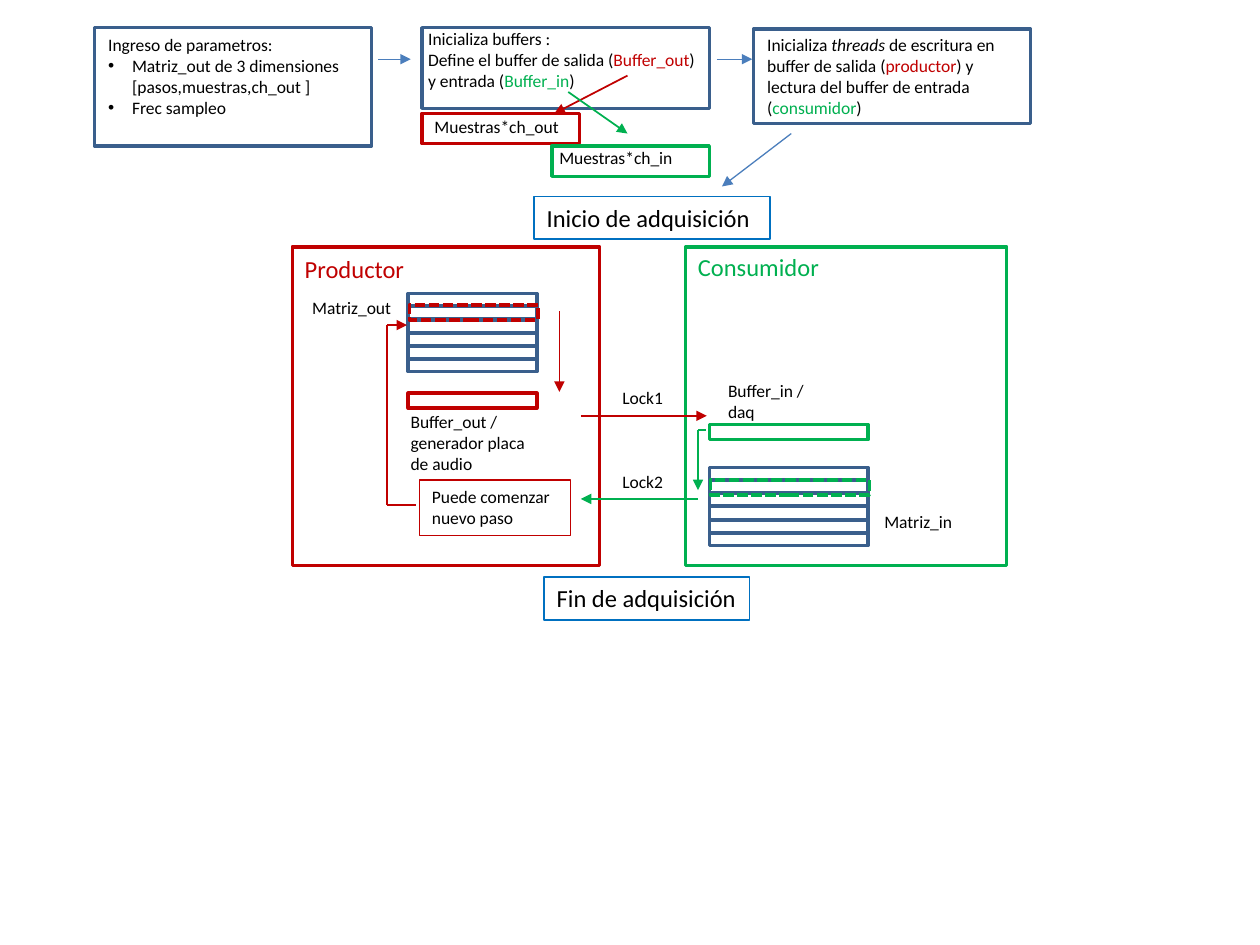
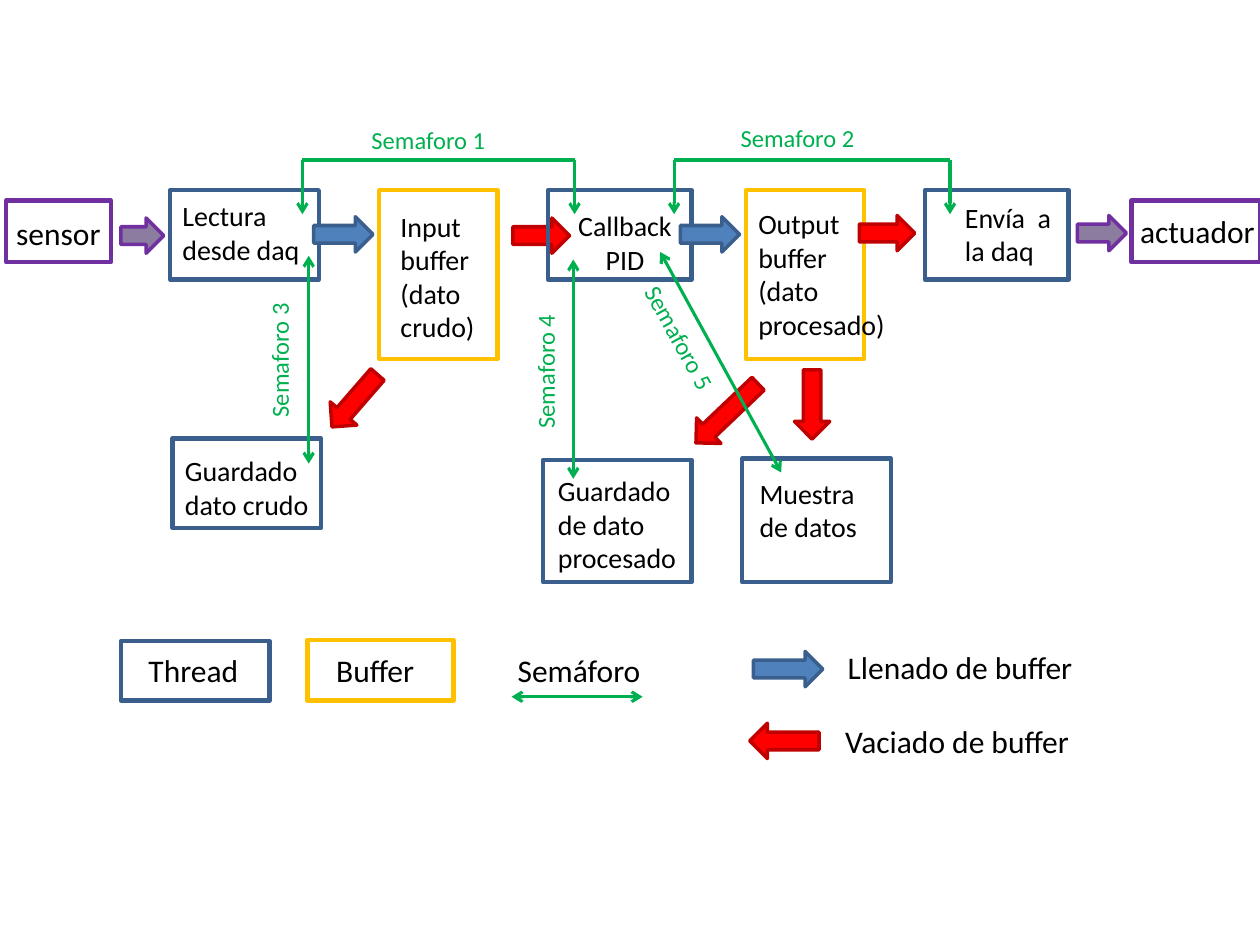
from lxml import etree
from pptx import Presentation
from pptx.dml.color import RGBColor
from pptx.enum import dml, shapes, text
from pptx.oxml import ns
from pptx.util import Inches, Pt

HUES = {
    "black": "000000", "navy": "3A5F8C", "blue": "4F81BD", "sky": "4B7EBC",
    "azure": "0070C0", "red": "C00000", "bright": "FF0000", "green": "00B050",
    "gold": "FFC000", "purple": "7030A0", "plum": "604A7B",
}
FONT = "Calibri"
# Block arrows: fill, outline, opacity
FLOWS = {"fill": ("blue", "navy", None), "drain": ("bright", "red", None),
         "signal": ("plum", "purple", 72)}


def rgb(hue):
    """Return the named colour."""
    return RGBColor.from_string(HUES[hue])


def sub(node, tag, **attrs):
    """Add a DrawingML child with attributes."""
    return etree.SubElement(node, ns.qn("a:" + tag), attrs)


class Pane:
    """A region of a slide whose items are placed from its top left corner."""

    def __init__(self, slide, x=0, y=0):
        self.slide, self.x, self.y = slide, x, y

    def zone(self, x, y):
        """Return a pane inside this one."""
        return Pane(self.slide, self.x + x, self.y + y)

    def place(self, x, y, w, h):
        """Turn a local box into slide lengths."""
        return Inches(self.x + x), Inches(self.y + y), Inches(w), Inches(h)

    def box(self, at, hue, width=2.0, dash=False):
        """Draw an outlined rectangle."""
        box = self.slide.shapes.add_shape(
            shapes.MSO_SHAPE.RECTANGLE, *self.place(*at))
        box.shadow.inherit = False
        box.fill.background()
        box.line.color.rgb = rgb(hue)
        box.line.width = Pt(width)
        if dash:
            box.line.dash_style = dml.MSO_LINE.SQUARE_DOT

    def arrow(self, at, flow, turn=0):
        """Draw a block arrow of one flow type."""
        fill, edge, alpha = FLOWS[flow]
        arrow = self.slide.shapes.add_shape(
            shapes.MSO_SHAPE.RIGHT_ARROW, *self.place(*at))
        arrow.shadow.inherit = False
        arrow.rotation = turn
        arrow.fill.solid()
        arrow.fill.fore_color.rgb = rgb(fill)
        arrow.line.color.rgb = rgb(edge)
        arrow.line.width = Pt(2)
        if alpha:
            tint = arrow._element.spPr.find(ns.qn("a:solidFill"))[0]
            sub(tint, "alpha", val=str(alpha * 1000))

    def wire(self, start, end, hue, width=1.0, head=None, tail=None):
        """Draw a straight line with optional arrowheads."""
        x1, y1, x2, y2 = self.place(*start, 0, 0)[:2] + self.place(*end, 0, 0)[:2]
        wire = self.slide.shapes.add_connector(
            shapes.MSO_CONNECTOR.STRAIGHT, x1, y1, x2, y2)
        wire.line.color.rgb = rgb(hue)
        wire.line.width = Pt(width)
        line = wire._element.spPr.find(ns.qn("a:ln"))
        for tag, tip in (("headEnd", head), ("tailEnd", tail)):
            if tip:
                sub(line, tag, type=tip)
        sub(wire._element.spPr, "effectLst")

    def note(self, at, paras, size=10, hue="black", turn=0, edge=None,
             width=1.0, center=False):
        """Write text; a paragraph is a string or a list of (text, style)."""
        note = self.slide.shapes.add_textbox(*self.place(*at))
        note.rotation = turn
        if edge:
            note.line.color.rgb = rgb(edge)
            note.line.width = Pt(width)
        frame = note.text_frame
        frame.word_wrap = True
        frame.auto_size = text.MSO_AUTO_SIZE.SHAPE_TO_FIT_TEXT
        paras = [paras] if isinstance(paras, str) else paras
        for i, runs in enumerate(paras):
            para = frame.add_paragraph() if i else frame.paragraphs[0]
            if center:
                para.alignment = text.PP_ALIGN.CENTER
            runs = [(runs, "")] if isinstance(runs, str) else runs
            for words, style in runs:
                run = para.add_run()
                run.text = words
                run.font.name = FONT
                run.font.size = Pt(size)
                run.font.italic = style == "italic"
                run.font.color.rgb = rgb(style if style in HUES else hue)
        return frame


def bullet(para):
    """Give a paragraph a hanging bullet."""
    props = para._p.get_or_add_pPr()
    props.set("marL", str(Inches(0.19)))
    props.set("indent", str(-Inches(0.19)))
    sub(props, "buFont", typeface="Arial")
    sub(props, "buChar", char="•")


def params(pane):
    """Input parameters."""
    pane.box((0, 0, 2.2, 0.94), "navy")
    frame = pane.note((0.01, 0, 2.19, 0.77), [
        "Ingreso de parametros:",
        "Matriz_out de 3 dimensiones [pasos,muestras,ch_out ]",
        "Frec sampleo"])
    for para in frame.paragraphs[1:]:
        bullet(para)


def buffers(pane):
    """Buffer set-up with the size of each buffer."""
    pane.box((0, 0, 2.28, 0.64), "navy")
    pane.note((-0.05, -0.05, 2.36, 0.61), ["Inicializa buffers :", [
        ("Define el buffer de salida (", ""), ("Buffer_out", "red"),
        (") y entrada (", ""), ("Buffer_in", "green"), (")", "")]])
    pane.box((0, 0.68, 1.25, 0.24), "red")
    pane.note((0, 0.65, 1.5, 0.27), "Muestras*ch_out")
    pane.box((1.03, 0.94, 1.25, 0.24), "green")
    pane.note((0.99, 0.9, 1.79, 0.27), "Muestras*ch_in")
    pane.wire((1.63, 0.38), (1.05, 0.68), "red", tail="triangle")
    pane.wire((1.16, 0.51), (1.63, 0.84), "green", tail="triangle")


def threads(pane):
    """Thread set-up."""
    pane.box((0, 0, 2.2, 0.75), "navy")
    pane.note((0.01, -0.01, 2.19, 0.77), [[
        ("Inicializa ", ""), ("threads", "italic"),
        (" de escritura en buffer de salida (", ""), ("productor", "red"),
        (") y lectura del buffer de entrada (", ""), ("consumidor", "green"),
        (")", "")]])


def matrix(pane, width, hue, step):
    """Six stacked rows with the active one dashed."""
    for row in range(6):
        pane.box((0, row * 0.104, width, 0.1), "navy")
    pane.box((0.01, step, width, 0.12), hue, dash=True)


def producer(pane):
    """Producer thread: matrix to output buffer, then back."""
    pane.box((0, 0, 2.44, 2.53), "red")
    pane.note((0, 0.01, 1.35, 0.34), "Productor", 14, "red")
    matrix(pane.zone(0.92, 0.37), 1.02, "red", 0.09)
    pane.note((0.06, 0.35, 1.5, 0.27), "Matriz_out")
    pane.box((0.92, 1.16, 1.02, 0.12), "red")
    pane.note((0.84, 1.25, 1.22, 0.61), "Buffer_out / generador placa de audio")
    pane.wire((2.12, 0.51), (2.12, 1.15), "red", tail="triangle")
    pane.note((1.01, 1.85, 1.2, 0.44), "Puede comenzar nuevo paso",
              edge="red", width=0.75)
    pane.wire((0.98, 2.05), (0.75, 2.05), "red")
    pane.wire((0.75, 2.05), (0.75, 0.62), "red")
    pane.wire((0.75, 0.62), (0.91, 0.62), "red", tail="triangle")


def consumer(pane):
    """Consumer thread: input buffer to matrix."""
    pane.box((0, 0, 2.55, 2.53), "green")
    pane.note((0, -0.01, 1.35, 0.34), "Consumidor", 14, "green")
    pane.note((0.24, 1.01, 0.97, 0.44), "Buffer_in / daq")
    pane.box((0.19, 1.41, 1.26, 0.12), "green")
    matrix(pane.zone(0.19, 1.75), 1.26, "green", 0.1)
    pane.note((1.48, 2.05, 1.5, 0.27), "Matriz_in")
    pane.wire((0.16, 1.45), (0.1, 1.45), "green")
    pane.wire((0.1, 1.45), (0.1, 1.93), "green", tail="triangle")


def locks(pane):
    """Locks between the two threads."""
    pane.note((0.23, 0, 0.88, 0.27), "Lock1")
    pane.wire((0, 0.28), (1, 0.28), "red", tail="triangle")
    pane.note((0.23, 0.67, 0.88, 0.27), "Lock2")
    pane.wire((0.93, 0.94), (0, 0.94), "green", tail="triangle")


def acquire(slide):
    """Slide with the acquisition sequence."""
    pane = Pane(slide)
    params(pane.zone(0.75, 0.22))
    buffers(pane.zone(3.35, 0.22))
    threads(pane.zone(5.98, 0.23))
    for start, end in (((3, 0.47), (3.26, 0.47)), ((5.69, 0.47), (5.97, 0.47)),
                       ((6.28, 1.06), (5.73, 1.48))):
        pane.wire(start, end, "sky", 0.75, tail="triangle")
    pane.note((4.24, 1.56, 1.87, 0.34), "Inicio de adquisición", 14, edge="azure")
    producer(pane.zone(2.32, 1.96))
    consumer(pane.zone(5.44, 1.96))
    locks(pane.zone(4.61, 3.02))
    pane.note((4.32, 4.58, 1.63, 0.34), "Fin de adquisición", 14, edge="azure")


def chain(pane):
    """Boxes of the main row, each with the arrow that follows it."""
    high = 0.71
    for x, w, h, hue, arrow in (
            (1.35, 1.18, high, "navy", (2.49, 0.21, 0.47, "fill")),
            (3.01, 0.94, 1.34, "gold", (4.07, 0.22, 0.45, "drain")),
            (4.35, 1.14, high, "navy", (5.4, 0.21, 0.47, "fill")),
            (5.92, 0.94, 1.34, "gold", (6.82, 0.2, 0.44, "drain")),
            (7.34, 1.14, high, "navy", (8.55, 0.2, 0.39, "signal"))):
        pane.box((x, 0, w, h), hue, 2.5)
        left, top, width, flow = arrow
        pane.arrow((left, top, width, 0.28), flow)
    pane.arrow((0.96, 0.22, 0.34, 0.28), "signal")
    for at, words in (
            ((1.35, 0.02, 1.26, 0.64), "Lectura desde daq"),
            ((3.08, 0.1, 1.02, 1.18), "Input buffer (dato crudo)"),
            ((5.92, 0.08, 1.26, 1.45), "Output buffer (dato procesado)"),
            ((7.56, 0.03, 0.98, 0.64), "Envía  a la daq")):
        pane.note(at, words, 16)
    pane.note((4.47, 0.1, 0.98, 0.64), ["Callback", "PID"], 16, center=True)
    for x, w, words, at in ((0.05, 0.83, "sensor", (0.03, 0.14, 1.02, 0.4)),
                            (8.98, 1.02, "actuador", (8.95, 0.12, 1.14, 0.4))):
        pane.note(at, words, 18)
        pane.box((x, 0.08, w, 0.49), "purple", 2.5)


def outputs(pane):
    """Lower boxes and the arrows that drain into them."""
    for box, at, words in (
            ((1.37, 0.44, 1.18, 0.71), (1.37, 0.51, 1.26, 0.64), "Guardado dato crudo"),
            ((4.31, 0.61, 1.18, 0.97), (4.33, 0.67, 1.32, 0.91), "Guardado de dato procesado"),
            ((5.89, 0.6, 1.18, 0.98), (5.93, 0.69, 1.18, 0.64), "Muestra de datos")):
        pane.box(box, "navy", 2.5)
        pane.note(at, words, 16)
    for x, y, w, turn in ((2.54, 0, 0.55, 131), (6.17, 0.03, 0.55, 90),
                          (5.43, 0.1, 0.68, 136.4)):
        pane.arrow((x, y, w, 0.28), "drain", turn)


def sync(pane):
    """Semaphores: two brackets above, three double arrows below."""
    for left, right in ((2.4, 4.56), (5.35, 7.54)):
        pane.wire((left, 0.34), (right, 0.34), "green", 1.75)
        for x in (left, right):
            pane.wire((x, 0.34), (x, 0.77), "green", 1.75, tail="arrow")
    for start, end in (((2.45, 1.1), (2.45, 2.75)), ((4.55, 1.13), (4.55, 2.87)),
                       ((5.24, 1.07), (6.2, 2.82))):
        pane.wire(start, end, "green", 1.75, "arrow", "arrow")
    spots = ((2.85, 0.01, 0), (5.78, 0, 0), (1.59, 1.68, 270),
             (3.7, 1.77, 270), (4.8, 1.65, 61.1))
    for i, (x, y, turn) in enumerate(spots, 1):
        pane.note((x, y, 1.26, 0.34), f"Semaforo {i}", 14, "green", turn)


def legend(pane):
    """Key to the boxes, lines and arrows."""
    pane.box((0, 0.01, 1.18, 0.47), "navy", 2.5)
    pane.box((1.48, 0, 1.16, 0.48), "gold", 2.5)
    pane.wire((4.14, 0.45), (3.1, 0.45), "green", 1.75, "arrow", "arrow")
    pane.arrow((5.02, 0.09, 0.55, 0.28), "fill")
    pane.arrow((4.99, 0.66, 0.55, 0.28), "drain", 180)
    for x, y, w, words in (
            (0.12, 0.04, 1.06, "Thread"), (1.61, 0.04, 1.06, "Buffer"),
            (3.05, 0.04, 1.4, "Semáforo"), (5.67, 0.01, 2.07, "Llenado de buffer"),
            (5.65, 0.6, 2.08, "Vaciado de buffer")):
        pane.note((x, y, w, 0.4), words, 18)


def control(slide):
    """Slide with the control loop and its semaphores."""
    pane = Pane(slide)
    chain(pane.zone(0, 1.51))
    outputs(pane.zone(0, 3.04))
    sync(pane.zone(0, 0.93))
    legend(pane.zone(0.96, 5.08))


deck = Presentation()
deck.slide_width, deck.slide_height = Inches(10), Inches(7.5)
for build in (acquire, control):
    build(deck.slides.add_slide(deck.slide_layouts[6]))
deck.save("out.pptx")
